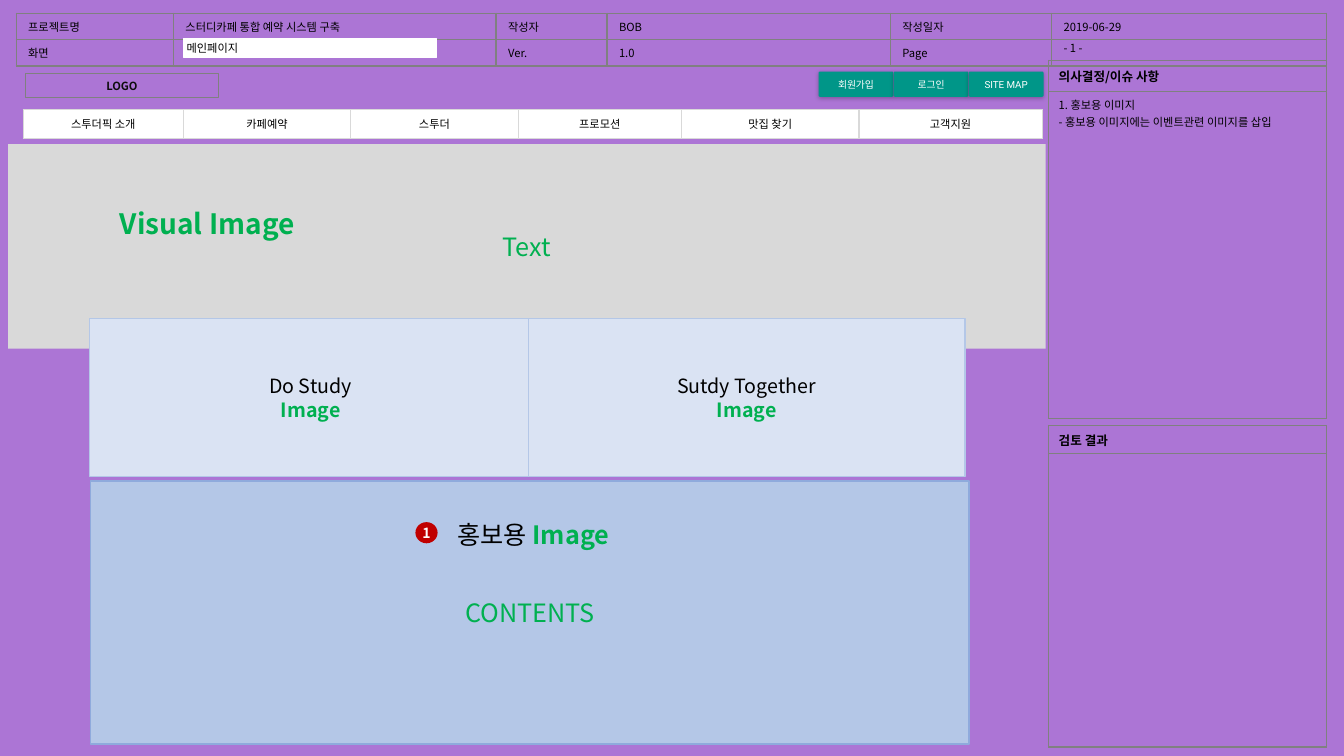
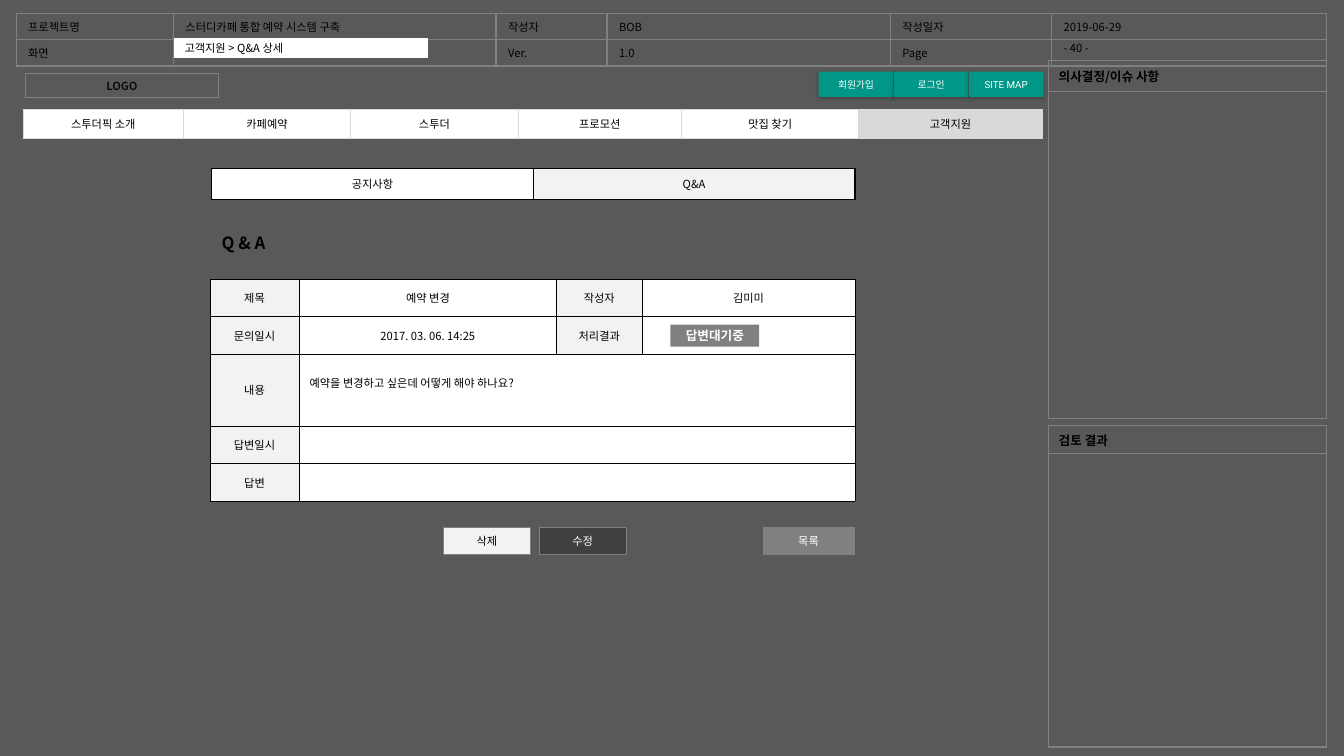
"""Builds two screen-design slides of a study cafe booking system."""
from dataclasses import dataclass, replace

from lxml import etree
from pptx import Presentation
from pptx.dml.color import RGBColor
from pptx.enum import shapes, text
from pptx.oxml.ns import qn
from pptx.util import Inches, Pt

PURPLE = RGBColor(0xAC, 0x75, 0xD5)
CHARCOAL = RGBColor(0x59, 0x59, 0x59)
DARK = RGBColor(0x40, 0x40, 0x40)
GRAY = RGBColor(0x80, 0x80, 0x80)
SILVER = RGBColor(0xD9, 0xD9, 0xD9)
PALE = RGBColor(0xF2, 0xF2, 0xF2)
WHITE = RGBColor(0xFF, 0xFF, 0xFF)
BLACK = RGBColor(0x00, 0x00, 0x00)
INK = RGBColor(0x0D, 0x0D, 0x0D)
TEAL = RGBColor(0x00, 0x96, 0x88)
GREEN = RGBColor(0x00, 0xB0, 0x50)
RED = RGBColor(0xC0, 0x00, 0x00)
BLUE = RGBColor(0x8F, 0xAA, 0xDC)
LIGHT_BLUE = RGBColor(0xB4, 0xC7, 0xE7)
PALE_BLUE = RGBColor(0xDA, 0xE3, 0xF3)

LEFT, CENTER = text.PP_ALIGN.LEFT, text.PP_ALIGN.CENTER
TOP, MIDDLE = text.MSO_ANCHOR.TOP, text.MSO_ANCHOR.MIDDLE
RECT = shapes.MSO_SHAPE.RECTANGLE
ROUND = shapes.MSO_SHAPE.ROUNDED_RECTANGLE
OVAL = shapes.MSO_SHAPE.OVAL


@dataclass(frozen=True)
class Style:
    """Look of a run of text."""
    size: float = 8
    color: RGBColor = BLACK
    bold: bool = False
    name: str = "Noto Sans CJK KR"


BASE = Style()
LIGHT = Style(color=WHITE)
HEADING = Style(9, bold=True)
BUTTON = Style(7, WHITE, name="Roboto")
CAPTION = Style(14)
IMAGE = Style(14, GREEN, True)
LARGE = Style(18, GREEN)

HEADER = [["프로젝트명", "스터디카페 통합 예약 시스템 구축", "작성자", "BOB",
           "작성일자", "2019-06-29"],
          ["화면", "", "Ver.", "1.0", "Page", ""]]
HEADER_COLS = [1.56, 3.2, 1.1, 2.81, 1.6, 2.73]
MENU = ["스투더픽 소개", "카페예약", "스투더", "프로모션", "맛집 찾기", "고객지원"]
MENU_COLS = [1.59, 1.66, 1.66, 1.62, 1.76, 1.82]
QUESTION = [["제목", "예약 변경", "작성자", "김미미"],
            ["문의일시", "2017. 03. 06. 14:25", "처리결과", ""],
            ["내용", "예약을 변경하고 싶은데 어떻게 해야 하나요?", "", ""],
            ["답변일시", "", "", ""],
            ["답변", "", "", ""]]


def write(tf, paragraphs, align=LEFT):
    """Write paragraphs, each a list of (text, style) runs."""
    for i, runs in enumerate(paragraphs):
        p = tf.add_paragraph() if i else tf.paragraphs[0]
        p.alignment = align
        for content, style in runs:
            r = p.add_run()
            r.text = content
            r.font.size = Pt(style.size)
            r.font.bold = style.bold
            r.font.color.rgb = style.color
            r.font.name = style.name
            etree.SubElement(r.font._element, qn("a:ea"), typeface=style.name)


def set_insets(tf, x, y):
    """Set the horizontal and vertical insets of a text frame."""
    tf.margin_left = tf.margin_right = Inches(x)
    tf.margin_top = tf.margin_bottom = Inches(y)


def add_box(slide, kind, at, fill, line, paragraphs, width=1.0, inset=0.1):
    """Add a filled shape with centred text."""
    sp = slide.shapes.add_shape(kind, *map(Inches, at))
    sp.shadow.inherit = False
    if fill is None:
        sp.fill.background()
    else:
        sp.fill.solid()
        sp.fill.fore_color.rgb = fill
    if line is None:
        sp.line.fill.background()
    else:
        sp.line.color.rgb = line
        sp.line.width = Pt(width)
    tf = sp.text_frame
    tf.word_wrap = True
    tf.vertical_anchor = MIDDLE
    set_insets(tf, inset, 0)
    write(tf, paragraphs, CENTER)
    return sp


def add_label(slide, at, runs, align=LEFT):
    """Add a one-line text box."""
    tf = slide.shapes.add_textbox(*map(Inches, at)).text_frame
    tf.word_wrap = True
    tf.vertical_anchor = MIDDLE
    write(tf, [runs], align)


def add_shadow(sp):
    """Give a shape a soft shadow below it."""
    effects = sp._element.spPr.find(qn("a:effectLst"))
    shadow = etree.SubElement(effects, qn("a:outerShdw"), blurRad=str(Pt(3)),
                              dist=str(Pt(1)), dir="5400000", rotWithShape="0")
    color = etree.SubElement(shadow, qn("a:srgbClr"), val=str(BLACK))
    etree.SubElement(color, qn("a:alpha"), val="25000")


def set_borders(cell, color, width):
    """Draw all four borders of a cell."""
    tcPr = cell._tc.get_or_add_tcPr()
    for side in ("a:lnL", "a:lnR", "a:lnT", "a:lnB"):
        ln = etree.SubElement(tcPr, qn(side), w=str(Pt(width)))
        solid = etree.SubElement(ln, qn("a:solidFill"))
        etree.SubElement(solid, qn("a:srgbClr"), val=str(color))


def add_table(slide, x, y, cols, heights, rows, line, width=1.0, fill=None,
              align=CENTER, anchor=MIDDLE, inset=0.1, style=BASE):
    """Add a bordered table of plain text and return it."""
    table = slide.shapes.add_table(
        len(heights), len(cols), Inches(x), Inches(y),
        Inches(sum(cols)), Inches(sum(heights))).table
    table.first_row = table.horz_banding = False
    for column, size in zip(table.columns, cols):
        column.width = Inches(size)
    for row, size, values in zip(table.rows, heights, rows):
        row.height = Inches(size)
        for cell, value in zip(row.cells, values):
            set_borders(cell, line, width)
            set_fill(cell, fill)
            cell.vertical_anchor = anchor
            cell.margin_left = cell.margin_right = Inches(inset)
            if value:
                write(cell.text_frame, [[(value, style)]], align)
            else:
                etree.SubElement(cell.text_frame.paragraphs[0]._p,
                                 qn("a:endParaRPr"), sz=str(style.size * 100))
    return table


def set_fill(cell, color):
    """Fill a cell, or leave it clear."""
    if color is None:
        cell.fill.background()
    else:
        cell.fill.solid()
        cell.fill.fore_color.rgb = color


def add_panel(slide, y, heights, heading, notes=()):
    """Add a side panel with a heading and notes."""
    table = add_table(slide, 10.4, y, [2.76], heights, [[heading], [""]],
                      GRAY, align=LEFT, style=HEADING)
    if notes:
        cell = table.cell(1, 0)
        cell.vertical_anchor = TOP
        write(cell.text_frame, [[(note, BASE)] for note in notes])


def set_title(slide, x, inset, name):
    """Place the screen name in the header as the slide title."""
    sp = slide.shapes.title
    sp.left, sp.top, sp.width, sp.height = map(Inches, (x, 0.38, 2.51, 0.19))
    sp.fill.solid()
    sp.fill.fore_color.rgb = WHITE
    sp.line.color.rgb = WHITE
    sp.line.width = Pt(1)
    tf = sp.text_frame
    tf.auto_size = text.MSO_AUTO_SIZE.NONE
    tf.vertical_anchor = MIDDLE
    set_insets(tf, inset, 0)
    write(tf, [[(name, BASE)]])
    slide.shapes._spTree.append(sp._element)


def add_screen(prs, background, page, title, notes=(), current=None):
    """Add a slide with the header, menu and side panels."""
    slide = prs.slides.add_slide(prs.slide_layouts[5])
    slide.background.fill.solid()
    slide.background.fill.fore_color.rgb = background
    add_table(slide, 0.16, 0.13, HEADER_COLS, [0.24, 0.24], HEADER, GRAY,
              align=LEFT, anchor=TOP, inset=0.12)
    add_label(slide, (10.45, 0.36, 1.07, 0.24), [(f"- {page} -", BASE)])
    add_panel(slide, 0.6, [0.31, 3.24], "의사결정/이슈 사항", notes)
    add_panel(slide, 4.22, [0.28, 2.91], "검토 결과")
    for i, name in enumerate(["회원가입", "로그인", "SITE MAP"]):
        sp = add_box(slide, ROUND, (8.12 + 0.745 * i, 0.71, 0.74, 0.25), TEAL,
                     None, [[(name, BUTTON)]], inset=0.08)
        sp.adjustments[0] = 0.05
        add_shadow(sp)
    menu = add_table(slide, 0.23, 1.09, MENU_COLS, [0.28], [MENU], SILVER,
                     fill=WHITE, inset=0.12)
    if current is not None:
        set_fill(menu.cell(0, current), SILVER)
    add_box(slide, RECT, (0.25, 0.73, 1.92, 0.24), None, GRAY,
            [[("LOGO", Style(color=INK, bold=True))]], 0.75)
    set_title(slide, *title)
    return slide


def add_main_page(prs):
    """Build the main page screen."""
    slide = add_screen(prs, PURPLE, 1, (1.82, 0.03, "메인페이지"),
                       ["1. 홍보용 이미지",
                        "- 홍보용 이미지에는 이벤트관련 이미지를 삽입"])
    add_box(slide, RECT, (0.08, 1.43, 10.29, 2.03), SILVER, None,
            [[("Text", LARGE)]])
    add_label(slide, (1.09, 2, 2.35, 0.44),
              [("Visual Image", Style(20, GREEN, True))])
    add_box(slide, RECT, (0.9, 4.77, 8.71, 2.61), LIGHT_BLUE, BLUE,
            [[("CONTENTS", LARGE)]])
    for x, width, name in ((0.89, 4.38, "Do Study"),
                           (5.24, 4.33, "Sutdy Together")):
        add_box(slide, RECT, (x, 3.16, width, 1.57), PALE_BLUE, LIGHT_BLUE,
                [[(name, CAPTION)], [("Image", IMAGE)]])
    add_label(slide, (3.05, 5.1, 4.48, 0.4),
              [("홍보용 ", Style(18)), ("Image", replace(LARGE, bold=True))],
              CENTER)
    add_box(slide, OVAL, (4.12, 5.18, 0.22, 0.21), RED, None,
            [[("1", Style(10, WHITE, True))]], inset=0)


def add_question_page(prs):
    """Build the question detail screen."""
    slide = add_screen(prs, CHARCOAL, 40, (1.73, 0.1, "고객지원 > Q&A 상세"),
                       current=5)
    tabs = add_table(slide, 2.1, 1.67, [3.19, 3.19], [0.31],
                     [["공지사항", "Q&A"]], BLACK, fill=WHITE)
    set_fill(tabs.cell(0, 1), PALE)
    add_label(slide, (2.1, 2.26, 1, 0.3), [("Q & A", Style(12, bold=True))])
    table = add_table(slide, 2.08, 2.77, [0.89, 2.55, 0.85, 2.11],
                      [0.37, 0.37, 0.72, 0.37, 0.37], QUESTION, BLACK, 0.25,
                      WHITE)
    for row in range(5):
        set_fill(table.cell(row, 0), PALE)
        if row < 2:
            set_fill(table.cell(row, 2), PALE)
        else:
            table.cell(row, 1).merge(table.cell(row, 3))
    content = table.cell(2, 1)
    content.margin_bottom = Inches(0.19)
    content.text_frame.paragraphs[0].alignment = LEFT
    add_box(slide, RECT, (6.65, 3.22, 0.88, 0.22), GRAY, None,
            [[("답변대기중", Style(9, WHITE, True))]])
    for x, width, fill, name, style in ((4.4, 0.86, PALE, "삭제", BASE),
                                        (5.35, 0.86, DARK, "수정", LIGHT),
                                        (7.57, 0.9, GRAY, "목록", LIGHT)):
        add_box(slide, RECT, (x, 5.23, width, 0.27), fill, GRAY,
                [[(name, style)]], 0.25)


def main():
    """Build and save the presentation."""
    prs = Presentation()
    prs.slide_width, prs.slide_height = Inches(13.33), Inches(7.5)
    add_main_page(prs)
    add_question_page(prs)
    prs.save("out.pptx")


if __name__ == "__main__":
    main()
